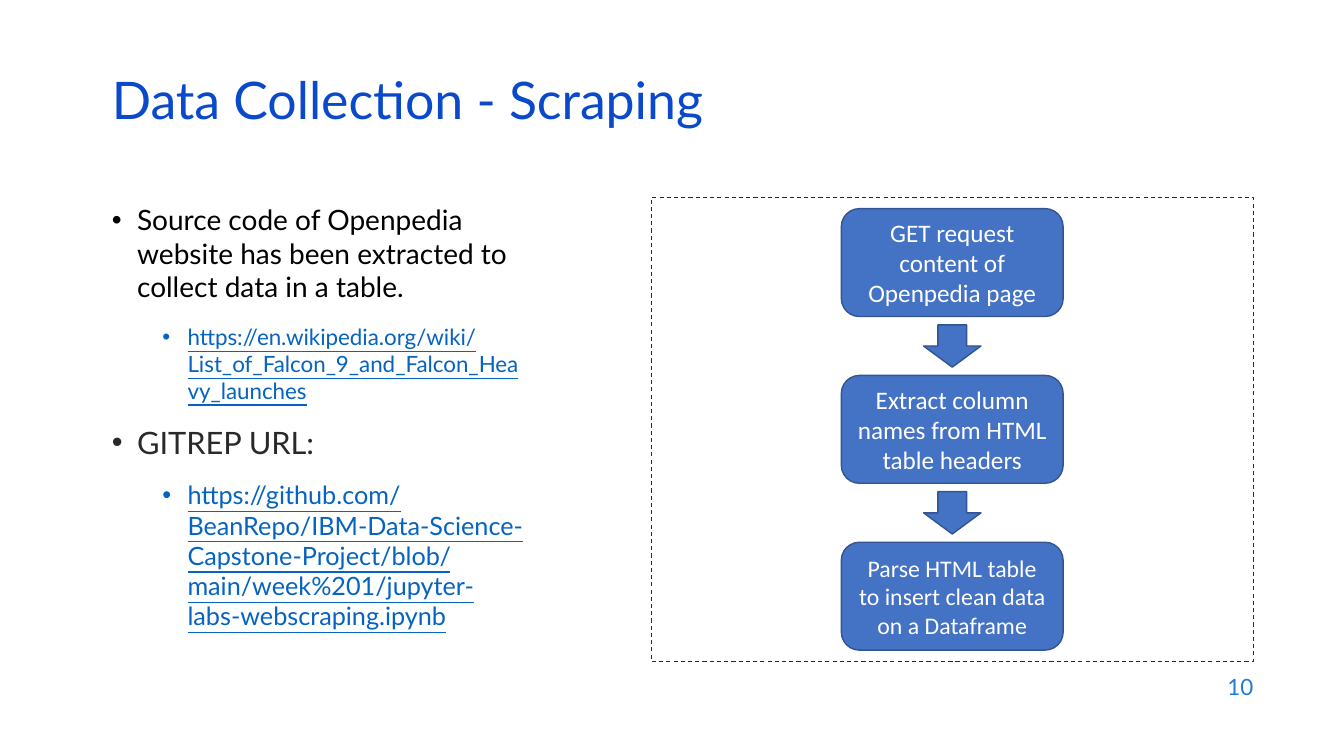
from lxml.etree import SubElement
from pptx import Presentation
from pptx.dml.color import RGBColor
from pptx.enum.dml import MSO_LINE
from pptx.enum.shapes import MSO_SHAPE
from pptx.enum.text import MSO_ANCHOR, MSO_AUTO_SIZE, PP_ALIGN
from pptx.oxml.ns import qn
from pptx.util import Inches, Pt

TITLE_BLUE = RGBColor(0x0B, 0x49, 0xCB)
LINK_BLUE = RGBColor(0x05, 0x63, 0xC1)
NUMBER_BLUE = RGBColor(0x1C, 0x7D, 0xDB)
STEP_FILL = RGBColor(0x44, 0x72, 0xC4)
STEP_LINE = RGBColor(0x32, 0x54, 0x91)
BLACK = RGBColor(0, 0, 0)
DARK = RGBColor(0x29, 0x29, 0x29)
WHITE = RGBColor(0xFF, 0xFF, 0xFF)

# Text, level, size, colour
BULLETS = [
    ("Source code of Openpedia website has been extracted to collect data "
     "in a table.", 0, 20, BLACK),
    ("https://en.wikipedia.org/wiki/"
     "List_of_Falcon_9_and_Falcon_Heavy_launches", 1, 16, LINK_BLUE),
    ("GITREP URL:", 0, 22, DARK),
    ("https://github.com/BeanRepo/IBM-Data-Science-Capstone-Project/blob/"
     "main/week%201/jupyter-labs-webscraping.ipynb", 1, 18, LINK_BLUE),
]
STEPS = [
    ("GET request content of Openpedia page", 18),
    ("Extract column names from HTML table headers", 18),
    ("Parse HTML table to insert clean data on a Dataframe", 17),
]


def place(sp, box):
    sp.left, sp.top, sp.width, sp.height = (Inches(v) for v in box)


def style(p, font, size, color, align=PP_ALIGN.LEFT):
    p.alignment = align
    for r in p.runs:
        r.font.name, r.font.size = font, Pt(size)
        r.font.color.rgb = color


def add_title(slide, box):
    title = slide.shapes.title
    place(title, box)
    tf = title.text_frame
    tf.text = "Data Collection - Scraping"
    tf.auto_size = MSO_AUTO_SIZE.NONE
    tf.vertical_anchor = MSO_ANCHOR.MIDDLE
    p = tf.paragraphs[0]
    p.line_spacing = 0.7
    style(p, "Lato", 37, TITLE_BLUE)


def add_bullets(slide, box):
    body = slide.placeholders[1]
    place(body, box)
    tf = body.text_frame
    tf.word_wrap = True
    tf.auto_size = MSO_AUTO_SIZE.NONE
    tf.vertical_anchor = MSO_ANCHOR.TOP
    for i, (text, level, size, color) in enumerate(BULLETS):
        p = tf.add_paragraph() if i else tf.paragraphs[0]
        p.text = text
        p.level = level
        p.line_spacing = 1.0
        p.space_before = Pt(14 if i else 0)
        p.space_after = Pt(0)
        pPr = p._p.get_or_add_pPr()
        pPr.set("marL", str(Inches(0.25 + 0.5 * level)))
        pPr.set("indent", str(-Inches(0.25)))
        SubElement(pPr, qn("a:buFont")).set("typeface", "Arial")
        SubElement(pPr, qn("a:buChar")).set("char", "•")
        style(p, "Lato", size, color)
        p.runs[0].font.underline = level == 1


def add_flow_shape(slide, kind, box):
    sp = slide.shapes.add_shape(kind, *(Inches(v) for v in box))
    sp.shadow.inherit = False
    sp.fill.solid()
    sp.fill.fore_color.rgb = STEP_FILL
    sp.line.color.rgb = STEP_LINE
    sp.line.width = Pt(1)
    return sp


def add_flow(slide, box):
    left, top, width, height = box

    # Dashed frame
    frame = slide.shapes.add_shape(MSO_SHAPE.RECTANGLE,
                                   *(Inches(v) for v in box))
    frame.shadow.inherit = False
    frame.fill.background()
    frame.line.color.rgb = DARK
    frame.line.width = Pt(0.75)
    frame.line.dash_style = MSO_LINE.DASH

    # Steps spread evenly down the frame, with an arrow centred in each gap
    margin, step_w, step_h = 0.11, 2.2, 1.07
    arrow_w, arrow_h = 0.57, 0.42
    center = left + width / 2
    pitch = (height - 2 * margin - step_h) / (len(STEPS) - 1)
    for i, (text, size) in enumerate(STEPS):
        y = top + margin + i * pitch
        if i:
            arrow_y = y - (pitch - step_h + arrow_h) / 2
            add_flow_shape(slide, MSO_SHAPE.DOWN_ARROW,
                           (center - arrow_w / 2, arrow_y, arrow_w, arrow_h))
        sp = add_flow_shape(slide, MSO_SHAPE.ROUNDED_RECTANGLE,
                            (center - step_w / 2, y, step_w, step_h))
        tf = sp.text_frame
        tf.text = text
        tf.word_wrap = True
        tf.vertical_anchor = MSO_ANCHOR.MIDDLE
        style(tf.paragraphs[0], "Calibri", size, WHITE, PP_ALIGN.CENTER)


def add_page_number(slide, box):
    tf = slide.shapes.add_textbox(*(Inches(v) for v in box)).text_frame
    tf.text = "10"
    tf.word_wrap = True
    tf.vertical_anchor = MSO_ANCHOR.MIDDLE
    style(tf.paragraphs[0], "Lato", 16, NUMBER_BLUE, PP_ALIGN.RIGHT)


def main():
    prs = Presentation()
    prs.slide_width, prs.slide_height = Inches(13.33), Inches(7.5)
    slide = prs.slides.add_slide(prs.slide_layouts[1])
    add_title(slide, (1.01, 0.76, 11.5, 0.6))
    add_bullets(slide, (1.01, 1.96, 4.3, 4.17))
    add_flow(slide, (6.46, 1.96, 5.97, 4.6))
    add_page_number(slide, (9.53, 6.59, 3, 0.44))
    prs.save("out.pptx")


if __name__ == "__main__":
    main()
